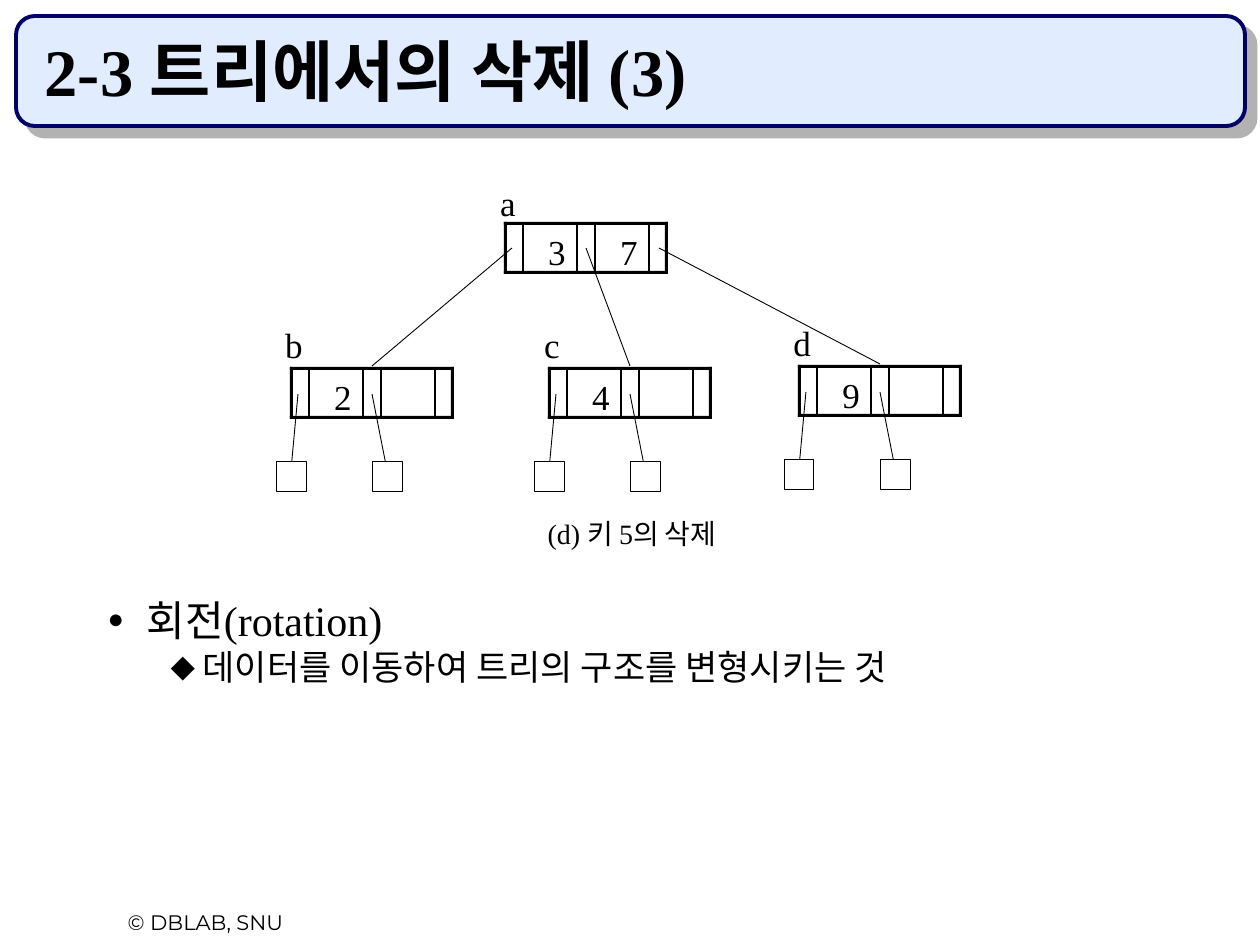
from dataclasses import dataclass

from lxml.etree import SubElement as Sub
from pptx import Presentation
from pptx.dml.color import RGBColor as Rgb
from pptx.enum.shapes import MSO_CONNECTOR as Conn, MSO_SHAPE as Kind
from pptx.enum.text import MSO_ANCHOR as Anchor, MSO_AUTO_SIZE as Fit, PP_ALIGN as Align
from pptx.oxml.ns import qn
from pptx.util import Pt

SCALE = 914400 / 126  # EMU in one px


@dataclass(frozen=True)
class Theme:
    ink: str = "000000"
    paper: str = "FFFFFF"
    panel: str = "E1ECFF"
    edge: str = "000066"
    shade: str = "B2B2B2"
    serif: str = "Times New Roman"
    sans: str = "Montserrat"
    title: int = 38
    head: int = 24
    item: int = 20
    key: int = 20
    note: int = 16
    foot: int = 12
    thin: float = 0.5
    rule: float = 0.75
    bold: float = 2.25


@dataclass(frozen=True)
class Node:
    name: str
    x: int
    y: int
    keys: tuple[str, ...]
    rise: int = 44  # label height above the node


THEME = Theme()
ROOT = Node("a", 504, 222, ("3", "7"), 41)
KIDS = (
    Node("b", 290, 367, ("2",)),
    Node("c", 548, 367, ("4",)),
    Node("d", 798, 365, ("9",)),
)
WIDE, HIGH, BAR = 164, 52, 3   # node size and border
CELL, SLOT = 54, 18            # key cell and pointer slot
STEP = CELL + SLOT
SLOTS = (8, 82, 155)           # pointer starts within a node
LEAF = 30


def px(n: float) -> int:
    return round(n * SCALE)


def place(shape, x: int, y: int, w: int, h: int) -> None:
    shape.left, shape.top, shape.width, shape.height = map(px, (x, y, w, h))


def style(par, size: int, face: str = THEME.serif, bold: bool = False) -> None:
    font = par.font
    font.name, font.size, font.bold = face, Pt(size), bold
    font.color.rgb = Rgb.from_string(THEME.ink)


def rect(shapes, x: int, y: int, w: int, h: int, fill: str, line: float = 0,
         color: str = THEME.ink, kind=Kind.RECTANGLE):
    box = shapes.add_shape(kind, *map(px, (x, y, w, h)))
    box.shadow.inherit = False
    box.fill.solid()
    box.fill.fore_color.rgb = Rgb.from_string(fill)
    if line:
        box.line.width = Pt(line)
        box.line.color.rgb = Rgb.from_string(color)
    else:
        box.line.fill.background()
    return box


def link(shapes, x1: int, y1: int, x2: int, y2: int, width: float = THEME.thin) -> None:
    line = shapes.add_connector(Conn.STRAIGHT, *map(px, (x1, y1, x2, y2)))
    line.line.width = Pt(width)
    line.line.color.rgb = Rgb.from_string(THEME.ink)
    Sub(line._element.spPr, qn("a:effectLst"))


def label(shapes, x: int, y: int, w: int, h: int, text: str, size: int,
          face: str = THEME.serif, pad: bool = False, wrap: bool = False) -> None:
    box = shapes.add_textbox(*map(px, (x, y, w, h)))
    frame = box.text_frame
    frame.word_wrap = wrap
    if not pad:
        frame.margin_left = frame.margin_right = 0
        frame.margin_top = frame.margin_bottom = 0
    par = frame.paragraphs[0]
    par.text, par.alignment = text, Align.CENTER
    style(par, size, face)


def bullet(par, mark: str, left: int, hang: int, ratio: int) -> None:
    props = par._p.get_or_add_pPr()
    props.set("marL", str(px(left)))
    props.set("indent", str(px(-hang)))
    Sub(Sub(props, qn("a:buClr")), qn("a:srgbClr"), val=THEME.ink)
    Sub(props, qn("a:buSzPct"), val=str(ratio * 1000))
    Sub(props, qn("a:buChar"), char=mark)


def banner(shapes) -> None:
    box = rect(shapes, 16, 16, 1229, 110, THEME.panel, THEME.bold, THEME.edge,
               Kind.ROUNDED_RECTANGLE)
    box.adjustments[0] = 0.17
    effects = box._element.spPr.find(qn("a:effectLst"))
    cast = Sub(effects, qn("a:outerShdw"), blurRad="0", dist=str(Pt(8.5)),
               dir=str(45 * 60000), algn="ctr", rotWithShape="0")
    Sub(cast, qn("a:srgbClr"), val=THEME.shade)
    shapes._spTree.insert(2, box._element)  # behind the title


def heading(shape, text: str) -> None:
    place(shape, 32, 32, 1187, 84)
    frame = shape.text_frame
    frame.auto_size, frame.vertical_anchor = Fit.NONE, Anchor.BOTTOM
    par = frame.paragraphs[0]
    par.text, par.alignment = text, Align.LEFT
    style(par, THEME.title, bold=True)


def notes(shape, head: str, item: str) -> None:
    place(shape, 32, 598, 1187, 273)
    frame = shape.text_frame
    frame.auto_size = Fit.NONE
    top, sub = frame.paragraphs[0], frame.add_paragraph()
    top.text, sub.text, sub.level = head, item, 1
    bullet(top, "●", 102, 39, 65)
    bullet(sub, "⬥", 158, 32, 100)
    for par, gap, size in ((top, 0, THEME.head), (sub, 5, THEME.item)):
        par.line_spacing, par.space_before = 0.8, Pt(gap)
        style(par, size)


def draw(shapes, node: Node) -> None:
    x, y = node.x, node.y
    for i, key in enumerate(node.keys):
        label(shapes, x + 44 + i * STEP, y + 8, 18, 42, key, THEME.key)
    # Border bars
    for dy in (0, HIGH - BAR):
        rect(shapes, x, y + dy, WIDE, BAR, THEME.ink)
    for dx in (0, WIDE - BAR):
        rect(shapes, x + dx, y, BAR, HIGH, THEME.ink)
    # Slot walls
    for i in range(2):
        for dx in (SLOT + 1, STEP + 1):
            wall = x + dx + i * STEP
            link(shapes, wall, y + 1, wall, y + HIGH - 2, THEME.rule)
    label(shapes, x - 5, y - node.rise, 18, 42, node.name, THEME.key)


def main() -> None:
    deck = Presentation()
    deck.slide_width, deck.slide_height = px(1260), px(945)
    slide = deck.slides.add_slide(deck.slide_layouts[1])
    shapes = slide.shapes

    # Title and list
    banner(shapes)
    heading(shapes.title, "2-3 트리에서의 삭제 (3)")
    notes(slide.placeholders[1], "회전(rotation)", "데이터를 이동하여 트리의 구조를 변형시키는 것")

    # Tree nodes
    for node in (ROOT, *KIDS):
        draw(shapes, node)

    # Links, then leaves over their ends
    for slot, kid in zip(SLOTS, KIDS):
        link(shapes, ROOT.x + slot, ROOT.y + 26, kid.x + 82, kid.y - 1)
    for kid in KIDS:
        for slot, leaf in zip(SLOTS, (-14, 82)):
            link(shapes, kid.x + slot, kid.y + 27, kid.x + leaf + 15, kid.y + 103)
            rect(shapes, kid.x + leaf, kid.y + 94, LEAF, LEAF, THEME.paper, THEME.thin)

    # Caption and footer
    label(shapes, 525, 510, 214, 47, "(d) 키 5의 삭제", THEME.note, pad=True)
    label(shapes, 53, 903, 305, 38, "© DBLAB, SNU", THEME.foot, THEME.sans, True, True)
    deck.save("out.pptx")


if __name__ == "__main__":
    main()
